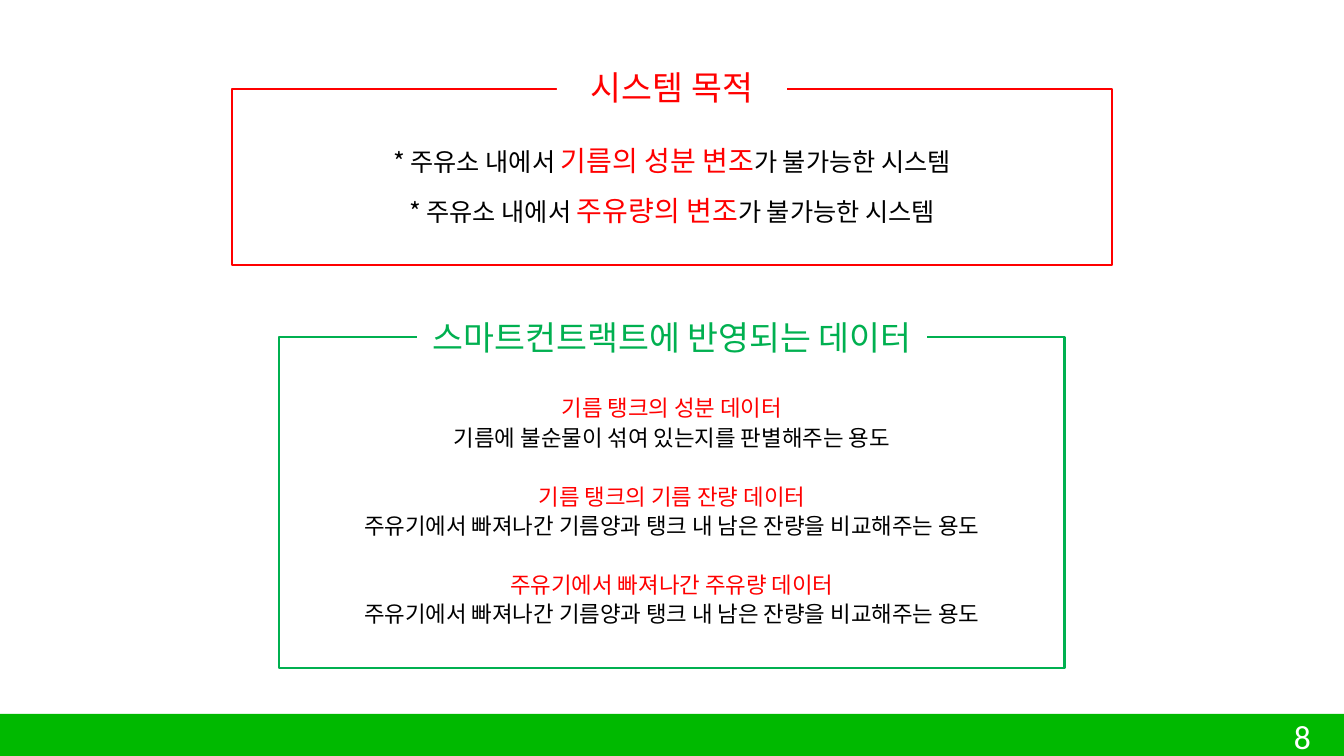
from pptx import Presentation
from pptx.dml.color import RGBColor
from pptx.enum.shapes import MSO_SHAPE
from pptx.enum.text import MSO_ANCHOR, PP_ALIGN
from pptx.oxml.ns import qn
from pptx.util import Emu, Pt

RECTANGLE = MSO_SHAPE.RECTANGLE
MIDDLE, TOP = MSO_ANCHOR.MIDDLE, MSO_ANCHOR.TOP
CENTER, LEFT = PP_ALIGN.CENTER, PP_ALIGN.LEFT
SLIDE_WIDTH, SLIDE_HEIGHT = 1344, 756
EMU_PER_PX = 12192000 / SLIDE_WIDTH
KOREAN = "Noto Sans CJK KR"
COLORS = {
    "red": "FF0000",
    "green": "00B050",
    "footer": "00B900",
    "black": "000000",
    "white": "FFFFFF",
}
PURPOSES = [("기름의 성분 변조", "가 불가능한 시스템"), ("주유량의 변조", "가 불가능한 시스템")]
DATA_ITEMS = [
    ("기름 탱크의 성분 데이터", "기름에 불순물이 섞여 있는지를 판별해주는 용도"),
    ("기름 탱크의 기름 잔량 데이터", "주유기에서 빠져나간 기름양과 탱크 내 남은 잔량을 비교해주는 용도"),
    ("주유기에서 빠져나간 주유량 데이터", "주유기에서 빠져나간 기름양과 탱크 내 남은 잔량을 비교해주는 용도"),
]


def px(value):
    return Emu(round(value * EMU_PER_PX))


def rgb(name):
    return RGBColor.from_string(COLORS[name])


def add_box(page, area, fill=None, line=None):
    box = page.shapes.add_shape(RECTANGLE, *map(px, area))
    box.shadow.inherit = False
    if fill:
        box.fill.solid()
        box.fill.fore_color.rgb = rgb(fill)
    else:
        box.fill.background()
    if line:
        box.line.color.rgb = rgb(line)
        box.line.width = Pt(2)
    else:
        box.line.fill.background()
    return box


def prepare_frame(box, anchor=MIDDLE, margin=6, wrap=True):
    frame = box.text_frame
    frame.word_wrap = wrap
    frame.vertical_anchor = anchor
    frame.margin_left = frame.margin_right = px(margin)
    frame.margin_top = frame.margin_bottom = px(min(margin, 6))
    return frame


def add_para(frame, spans, font=KOREAN, align=CENTER, spacing=None, before=0):
    first = frame.paragraphs[0]
    para = frame.add_paragraph() if first.runs else first
    para.alignment = align
    if spacing:
        para.line_spacing = Pt(spacing)
    if before:
        para.space_before = Pt(before)
    for text, size, color in spans:
        span = para.add_run()
        span.text = text
        span.font.size = Pt(size)
        span.font.name = font
        span.font.color.rgb = rgb(color)
        east_asian = span.font._element.makeelement(qn("a:ea"), {"typeface": font})
        span.font._element.append(east_asian)


def add_title(page, area, text, color):
    frame = prepare_frame(add_box(page, area, fill="white"))
    add_para(frame, [(text, 24, color)])


def add_footer(page, number):
    add_box(page, (0, 714, SLIDE_WIDTH, 42), fill="footer")
    box = page.shapes.add_textbox(*map(px, (1284, 710, 60, 50)))
    frame = prepare_frame(box, anchor=TOP, margin=10, wrap=False)
    add_para(frame, [(number, 24, "white")], font="Calibri", align=LEFT)


def add_purposes(page):
    frame = prepare_frame(add_box(page, (232, 89, 880, 176), line="red"), margin=10)
    for target, ending in PURPOSES:
        spans = [("* 주유소 내에서 ", 18, "black"), (target, 20, "red"), (ending, 18, "black")]
        add_para(frame, spans, spacing=36)


def add_data_items(page):
    add_box(page, (279, 337, 786, 331), line="green")
    box = page.shapes.add_textbox(*map(px, (330, 399, 684, 221)))
    frame = prepare_frame(box)
    for index, (name, use) in enumerate(DATA_ITEMS):
        add_para(frame, [(name, 16, "red")], spacing=21, before=21 if index else 0)
        add_para(frame, [(use, 16, "black")], spacing=21)


def main():
    deck = Presentation()
    deck.slide_width, deck.slide_height = px(SLIDE_WIDTH), px(SLIDE_HEIGHT)
    page = deck.slides.add_slide(deck.slide_layouts[6])
    add_footer(page, "8")
    add_purposes(page)
    add_data_items(page)
    add_title(page, (417, 297, 510, 80), "스마트컨트랙트에 반영되는 데이터", "green")
    add_title(page, (557, 47, 230, 80), "시스템 목적", "red")
    deck.save("out.pptx")


if __name__ == "__main__":
    main()
